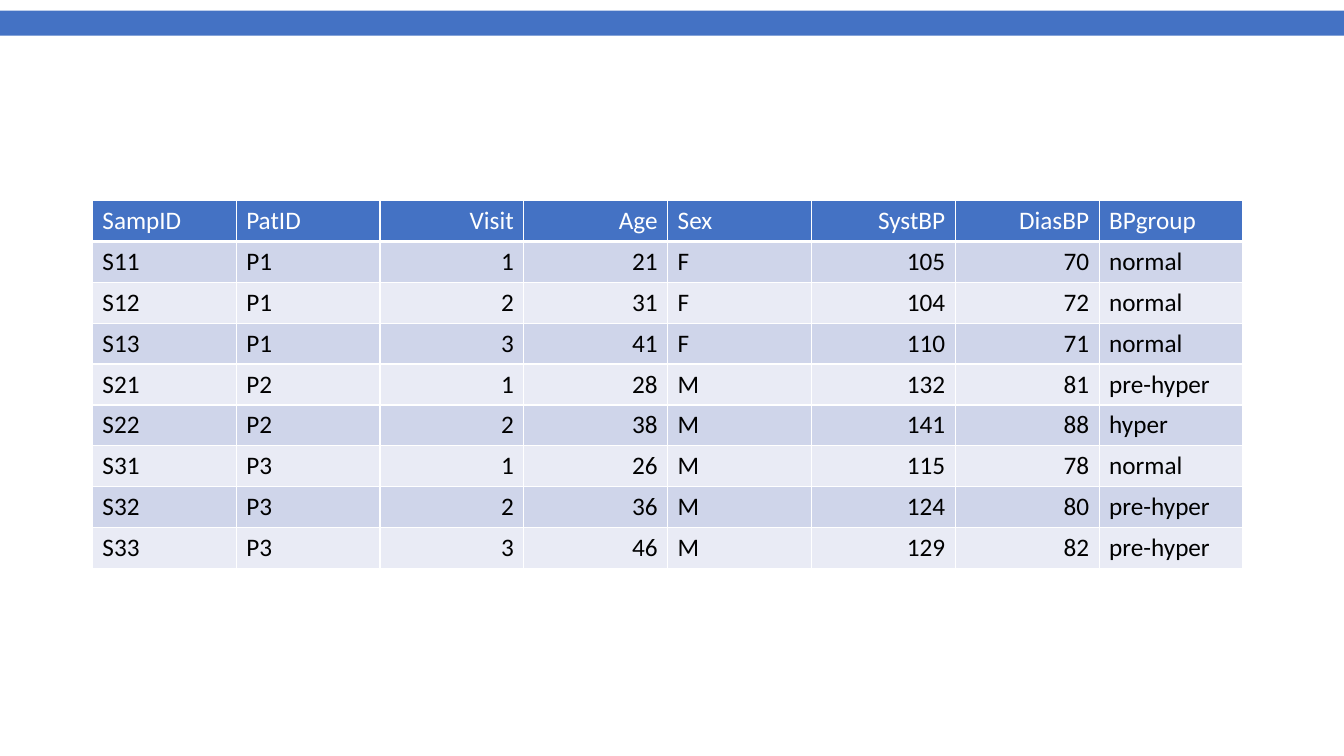
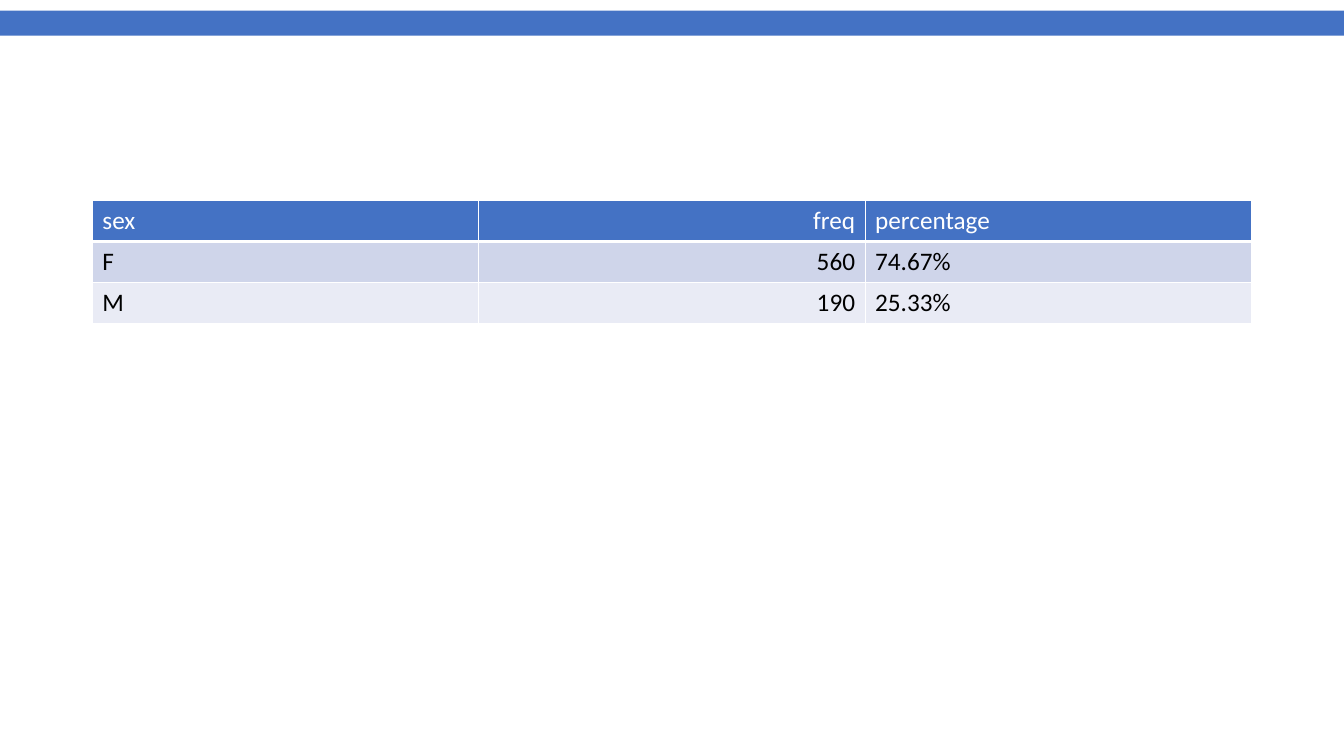
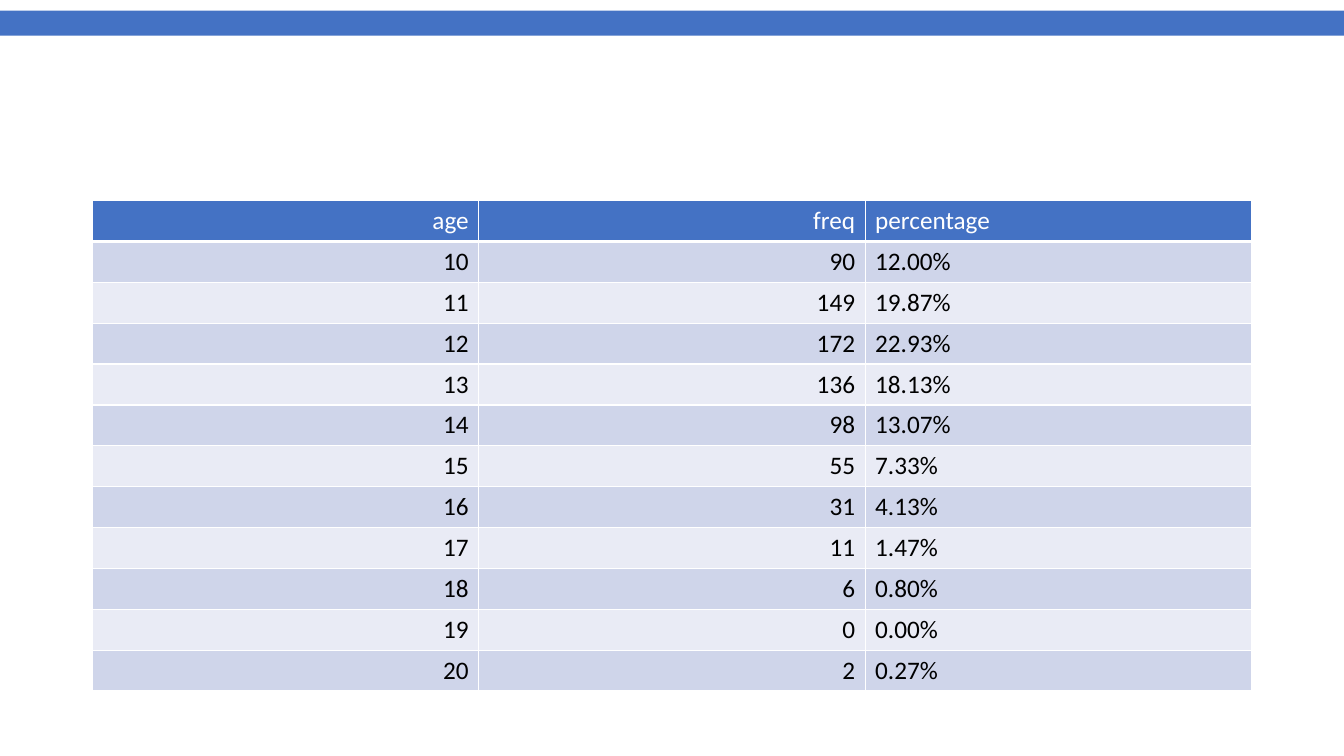
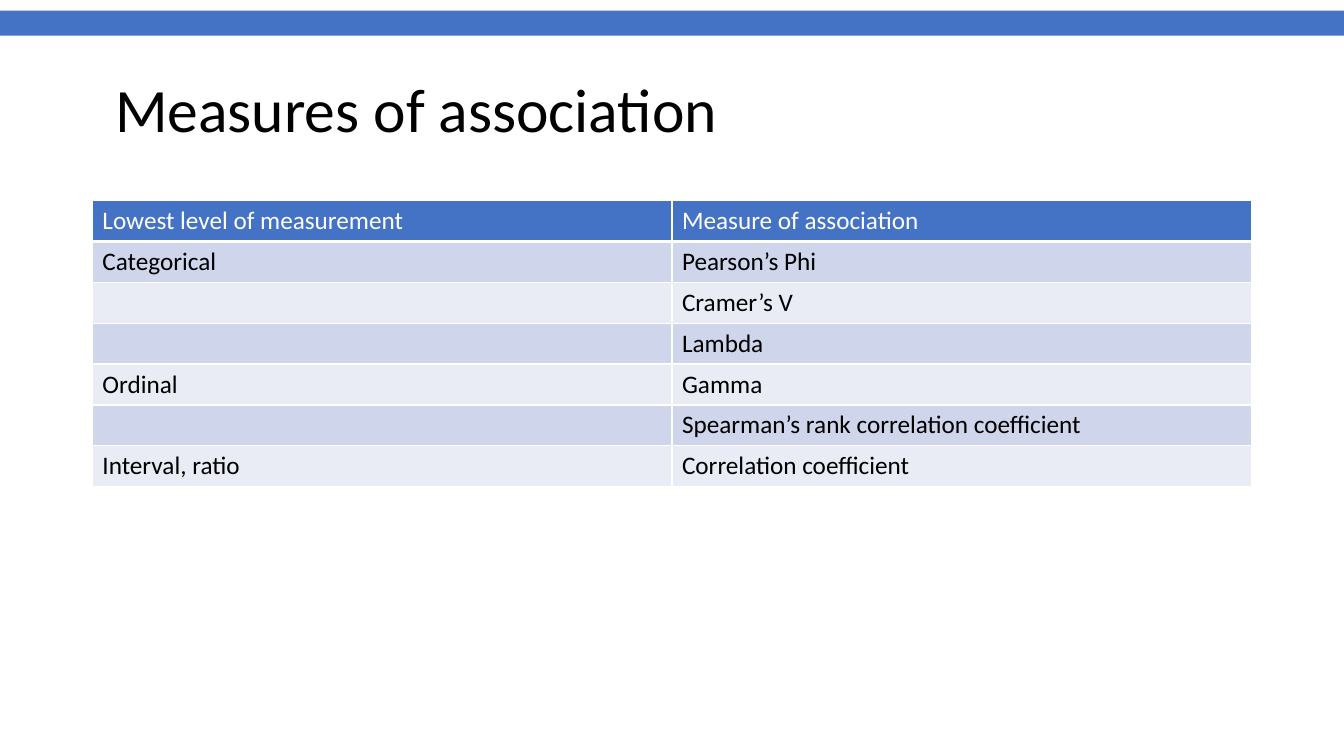
from dataclasses import dataclass

from lxml import etree
from pptx import Presentation
from pptx import util as u
from pptx.dml.color import RGBColor
from pptx.enum import shapes, text
from pptx.oxml import ns

PX = 9525  # EMU in one px, 96 px to the inch


@dataclass(frozen=True)
class Theme:
    font: str = "Calibri"
    accent: str = "4472C4"
    odd_row: str = "CFD5EA"
    even_row: str = "E9EBF5"
    ink: str = "000000"
    paper: str = "FFFFFF"
    title_size: int = 44
    table_size: int = 18
    rule: int = 1
    header_rule: int = 3


THEME = Theme()
LEFT, RIGHT = text.PP_ALIGN.LEFT, text.PP_ALIGN.RIGHT


def write(frame, words, size=THEME.table_size, color=THEME.ink, align=LEFT, spacing=None):
    paragraph = frame.paragraphs[0]
    paragraph.alignment = align
    paragraph.line_spacing = spacing
    run = paragraph.add_run()
    run.text = words
    run.font.name = THEME.font
    run.font.size = u.Pt(size)
    run.font.bold = False
    run.font.color.rgb = RGBColor.from_string(color)


def rule_cell(cell, bottom):
    """Draw the white rules on the four sides of a table cell."""
    properties = cell._tc.get_or_add_tcPr()
    for side, width in zip("LRTB", (THEME.rule, THEME.rule, THEME.rule, bottom)):
        line = etree.SubElement(properties, ns.qn(f"a:ln{side}"), w=str(u.Pt(width)))
        fill = etree.SubElement(line, ns.qn("a:solidFill"))
        etree.SubElement(fill, ns.qn("a:srgbClr"), val=THEME.paper)


# Content: title, column width, alignment of each column (l or r), rows
patients = [
    ("SampID", "PatID", "Visit", "Age", "Sex", "SystBP", "DiasBP", "BPgroup"),
    ("S11", "P1", "1", "21", "F", "105", "70", "normal"),
    ("S12", "P1", "2", "31", "F", "104", "72", "normal"),
    ("S13", "P1", "3", "41", "F", "110", "71", "normal"),
    ("S21", "P2", "1", "28", "M", "132", "81", "pre-hyper"),
    ("S22", "P2", "2", "38", "M", "141", "88", "hyper"),
    ("S31", "P3", "1", "26", "M", "115", "78", "normal"),
    ("S32", "P3", "2", "36", "M", "124", "80", "pre-hyper"),
    ("S33", "P3", "3", "46", "M", "129", "82", "pre-hyper"),
]
sex_counts = [
    ("sex", "freq", "percentage"),
    ("F", "560", "74.67%"),
    ("M", "190", "25.33%"),
]
age_counts = [
    ("age", "freq", "percentage"),
    ("10", "90", "12.00%"),
    ("11", "149", "19.87%"),
    ("12", "172", "22.93%"),
    ("13", "136", "18.13%"),
    ("14", "98", "13.07%"),
    ("15", "55", "7.33%"),
    ("16", "31", "4.13%"),
    ("17", "11", "1.47%"),
    ("18", "6", "0.80%"),
    ("19", "0", "0.00%"),
    ("20", "2", "0.27%"),
]
measures = [
    ("Lowest level of measurement", "Measure of association"),
    ("Categorical", "Pearson’s Phi"),
    ("", "Cramer’s V"),
    ("", "Lambda"),
    ("Ordinal", "Gamma"),
    ("", "Spearman’s rank correlation coefficient"),
    ("Interval, ratio", "Correlation coefficient"),
]
pages = [
    (None, 137, "llrrlrrl", patients),
    (None, 368, "lrl", sex_counts),
    (None, 368, "rrl", age_counts),
    ("Measures of association", 552, "ll", measures),
]

prs = Presentation()
prs.slide_width, prs.slide_height = 1280 * PX, 720 * PX
title_layout, blank_layout = prs.slide_layouts[5], prs.slide_layouts[6]

# Title place, shared through the layout
title_place = title_layout.placeholders[0]
title_place.left, title_place.top = 100 * PX, 38 * PX
title_place.width, title_place.height = 1085 * PX, 139 * PX

for number, (title, column_width, alignments, rows) in enumerate(pages):
    slide = prs.slides.add_slide(title_layout if title else blank_layout)

    # Top band, made once and handed to the master
    if number == 0:
        band = slide.shapes.add_shape(
            shapes.MSO_SHAPE.RECTANGLE, 0, 10 * PX, prs.slide_width, 24 * PX)
        band.shadow.inherit = False
        band.fill.solid()
        band.fill.fore_color.rgb = RGBColor.from_string(THEME.accent)
        band.line.fill.background()
        band.element.nvSpPr.cNvPr.set("id", "100")
        prs.slide_master.element.cSld.spTree.insert(2, band.element)

    # Title
    if title:
        heading = slide.shapes.title.text_frame
        heading.vertical_anchor = text.MSO_ANCHOR.MIDDLE
        write(heading, title, size=THEME.title_size, spacing=0.9)

    # Table; rows grow to the height of their text
    columns = len(alignments)
    table = slide.shapes.add_table(
        len(rows), columns, 88 * PX, 191 * PX,
        columns * column_width * PX, len(rows) * 38 * PX).table
    for column in table.columns:
        column.width = column_width * PX
    for r, row in enumerate(rows):
        header = r == 0
        fill = THEME.accent if header else THEME.odd_row if r % 2 else THEME.even_row
        for c, words in enumerate(row):
            cell = table.cell(r, c)
            rule_cell(cell, THEME.header_rule if header else THEME.rule)
            cell.fill.solid()
            cell.fill.fore_color.rgb = RGBColor.from_string(fill)
            if words:
                write(cell.text_frame, words,
                      color=THEME.paper if header else THEME.ink,
                      align=RIGHT if alignments[c] == "r" else LEFT)

prs.save("out.pptx")
